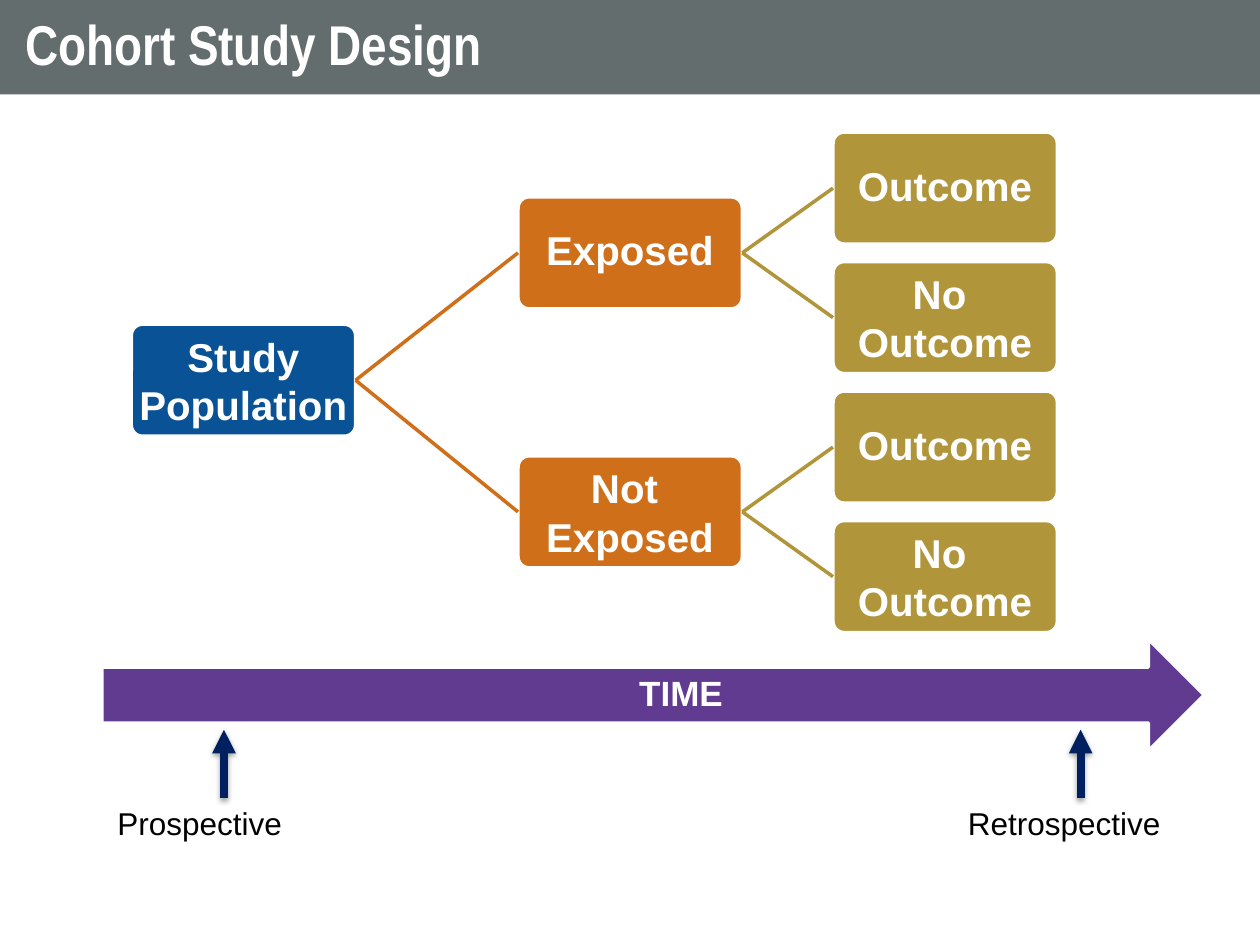
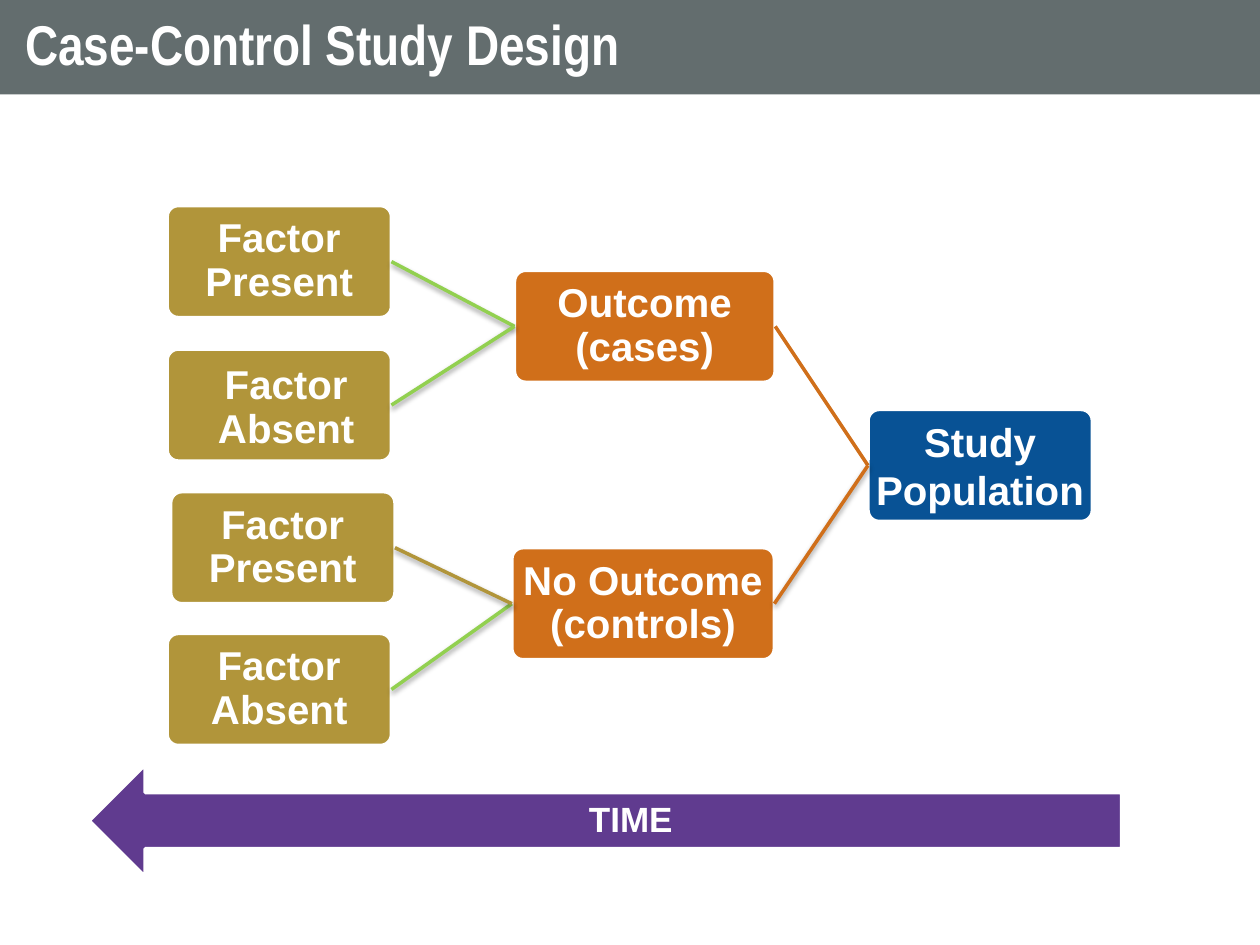
from lxml.etree import SubElement
from pptx import Presentation
from pptx.dml.color import RGBColor
from pptx.enum.shapes import MSO_CONNECTOR, MSO_SHAPE
from pptx.enum.text import MSO_ANCHOR, PP_ALIGN
from pptx.oxml.ns import qn
from pptx.util import Pt

# Shared colours and sizes
WHITE, BLACK, GREY, NAVY = "FFFFFF", "000000", "636D6E", "002060"
BLUE, ORANGE, GOLD, GREEN, PURPLE = "085295", "D06F1A", "B1953A", "92D050", "4F2683"
BOX_W, BOX_H, BOX_INSET = 128.2, 64, 1
RIGHT, LEFT = 3, 1
rgb = RGBColor.from_string


def set_text(s, text, size=23, font="Arial", color=WHITE, bold=True,
             align=PP_ALIGN.CENTER, spacing=1.0, insets=(0, 0, 0, 0), wrap=True):
    tf = s.text_frame
    tf.word_wrap = wrap
    tf.vertical_anchor = MSO_ANCHOR.MIDDLE
    tf.margin_left, tf.margin_top, tf.margin_right, tf.margin_bottom = map(Pt, insets)
    for i, line in enumerate(text.split("\n")):
        p = tf.add_paragraph() if i else tf.paragraphs[0]
        p.alignment, p.line_spacing = align, spacing
        r = p.add_run()
        r.text = line
        r.font.size, r.font.name, r.font.bold = Pt(size), font, bold
        r.font.color.rgb = rgb(color)


def add_line(slide, color, width=2, points=(0, 0, 0, 0), shadow=False, arrow=False):
    s = slide.shapes.add_connector(MSO_CONNECTOR.STRAIGHT, *map(Pt, points))
    s.line.color.rgb, s.line.width = rgb(color), Pt(width)
    if arrow:
        ln = s._element.spPr.find(qn("a:ln"))
        SubElement(ln, qn("a:tailEnd"), type="triangle")
    effects = SubElement(s._element.spPr, qn("a:effectLst"))
    if shadow:
        outer = SubElement(effects, qn("a:outerShdw"), blurRad="40000", dist="20000",
                           dir="5400000", rotWithShape="0")
        clr = SubElement(outer, qn("a:srgbClr"), val=BLACK)
        SubElement(clr, qn("a:alpha"), val="38000")
    return s


# Cohort boxes: name -> text, left, top, width, colour, line spacing, text shift
outcome_tops = [75.5 + 74 * i for i in range(4)]
cohort_boxes = {"population": ("Study\nPopulation", 75, 185.3, BOX_W, BLUE, 1.0, (0, 0))}
cohort_links = []
for i, group in enumerate(("Exposed", "Not \nExposed")):
    tops = outcome_tops[2 * i:2 * i + 2]
    cohort_boxes[group] = (group, 296, sum(tops) / 2, BOX_W, ORANGE,
                           1.0 if i else 0.9, (0, 0))
    cohort_links.append(("population", RIGHT, group, LEFT, ORANGE, False))
    for text, top, spacing in zip(("Outcome", "No \nOutcome"), tops, (0.9, 1.0)):
        cohort_boxes[group, text] = (text, 476, top, BOX_W, GOLD, spacing, (0, 0))
        cohort_links.append((group, RIGHT, (group, text), LEFT, GOLD, False))

# Case-control boxes and links
case_boxes = {
    "present cases": ("Factor Present", 95.5, 117.5, BOX_W, GOLD, 0.9, (0, 0)),
    "absent cases": ("Factor Absent", 95.5, 199.5, BOX_W, GOLD, 0.9, (8, 4)),
    "present controls": ("Factor Present", 97.5, 281, BOX_W, GOLD, 0.9, (0, 0)),
    "absent controls": ("Factor Absent", 95.5, 362, BOX_W, GOLD, 0.9, (0, 0)),
    "controls": ("No Outcome (controls)", 292.5, 313, 150, ORANGE, 0.9, (0, 0)),
    "cases": ("Outcome (cases)", 294, 154.5, 149, ORANGE, 0.9, (0, 0)),
    "population": ("Study\nPopulation", 496, 234, BOX_W, BLUE, 1.0, (0, 0)),
}
case_links = [
    ("population", LEFT, "cases", RIGHT, ORANGE, False),
    ("population", LEFT, "controls", RIGHT, ORANGE, True),
    ("cases", LEFT, "present cases", RIGHT, GREEN, True),
    ("cases", LEFT, "absent cases", RIGHT, GREEN, True),
    ("controls", LEFT, "absent controls", RIGHT, GREEN, True),
    ("controls", LEFT, "present controls", RIGHT, GOLD, True),
]

# Title, boxes, links, time arrow (shape, left, top, width, left text inset)
designs = [
    ("Cohort Study Design", cohort_boxes, cohort_links,
     (MSO_SHAPE.RIGHT_ARROW, 58.2, 365.2, 630, 48)),
    ("Case-Control Study Design", case_boxes, case_links,
     (MSO_SHAPE.LEFT_ARROW, 51, 437, 590, 13)),
]

prs = Presentation()
prs.slide_width, prs.slide_height = Pt(720), Pt(540)

for title, boxes, links, (arrow, x, y, w, inset) in designs:
    slide = prs.slides.add_slide(prs.slide_layouts[6])

    # Title band
    s = slide.shapes.add_shape(MSO_SHAPE.RECTANGLE, 0, 0, prs.slide_width, Pt(54))
    s.shadow.inherit = False
    s.fill.solid()
    s.fill.fore_color.rgb = rgb(GREY)
    s.line.fill.background()
    set_text(s, title, size=32, font="Arial Narrow", align=PP_ALIGN.LEFT,
             spacing=0.9, insets=(14.4, 7.2, 14.4, 7.2))

    # Time arrow
    s = slide.shapes.add_shape(arrow, Pt(x), Pt(y), Pt(w), Pt(BOX_H))
    s.shadow.inherit = False
    s.fill.solid()
    s.fill.fore_color.rgb = rgb(PURPLE)
    clr = s._element.spPr.find(qn("a:solidFill")).find(qn("a:srgbClr"))
    SubElement(clr, qn("a:alpha"), val="90000")
    s.line.color.rgb, s.line.width = rgb(WHITE), Pt(2)
    set_text(s, "TIME", size=20, spacing=0.9, insets=(inset, 0, 0, 0))

    # Boxes of the tree
    nodes = {}
    for name, (text, x, y, w, color, spacing, (dx, dy)) in boxes.items():
        s = slide.shapes.add_shape(MSO_SHAPE.ROUNDED_RECTANGLE, Pt(x), Pt(y), Pt(w), Pt(BOX_H))
        s.adjustments[0] = 0.1
        s.shadow.inherit = False
        s.fill.solid()
        s.fill.fore_color.rgb = rgb(color)
        s.line.color.rgb, s.line.width = rgb(WHITE), Pt(2)
        set_text(s, text, spacing=spacing,
                 insets=(BOX_INSET + dx, BOX_INSET + dy, BOX_INSET, BOX_INSET))
        nodes[name] = s

    # Branches joining the boxes
    for start, start_side, end, end_side, color, shadow in links:
        s = add_line(slide, color, shadow=shadow)
        s.begin_connect(nodes[start], start_side)
        s.end_connect(nodes[end], end_side)

# Starting points on the cohort timeline
slide = prs.slides[0]
for text, arrow_x, x, w in (("Prospective", 128, 60, 118), ("Retrospective", 617.5, 546, 131)):
    add_line(slide, NAVY, width=4.5, points=(arrow_x, 456, arrow_x, 417),
             shadow=True, arrow=True)
    s = slide.shapes.add_textbox(Pt(x), Pt(455.5), Pt(w), Pt(29))
    set_text(s, text, size=18, color=BLACK, bold=False, align=PP_ALIGN.LEFT,
             insets=(7.2, 3.6, 7.2, 3.6), wrap=False)

prs.save("out.pptx")
